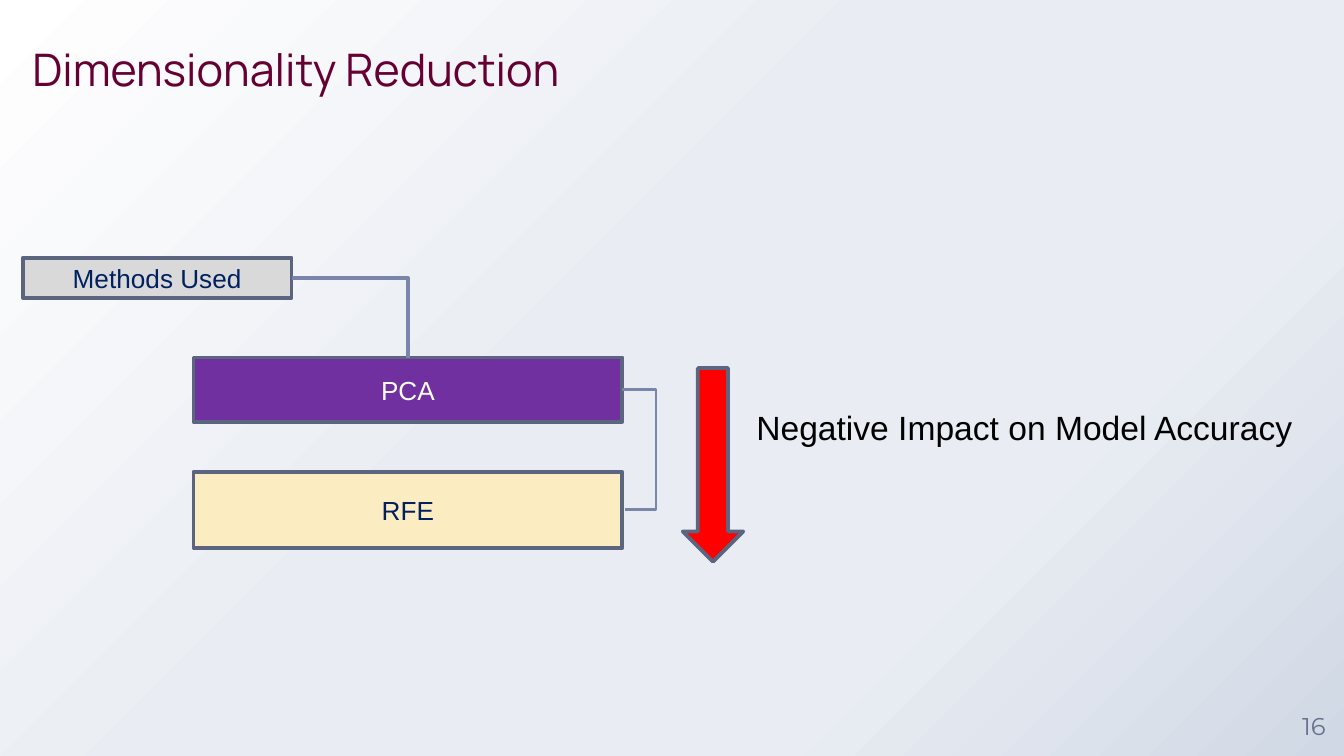
from lxml import etree
from pptx import Presentation
from pptx import util as u
from pptx.dml import color
from pptx.enum import shapes, text
from pptx.oxml import ns

WIDTH, HEIGHT = u.Inches(10), u.Inches(5.625)
OUTLINE, LINK, NAVY = "5C657F", "7985A9", "002060"
BACKGROUND = [(0, "FFFFFF"), (44, "E9EDF3"), (72, "E9EDF3"), (100, "D0D8E5")]


def rgb(value):
    """Turn a hex string into a colour."""
    return color.RGBColor.from_string(value)


def place(left, top, width, height):
    """Turn percentages of the slide's size into lengths."""
    return [round(share * side / 100) for share, side in
            ((left, WIDTH), (top, HEIGHT), (width, WIDTH), (height, HEIGHT))]


def apply(target, values):
    """Set every attribute named in a dict of format values."""
    for name, value in values.items():
        setattr(target, name, value)


def write(shape, words, size, ink, font="Arial", align="LEFT", anchor="MIDDLE", inset=None, wrap=True):
    """Put one formatted paragraph into a shape."""
    frame = shape.text_frame
    apply(frame, {"word_wrap": wrap, "vertical_anchor": getattr(text.MSO_ANCHOR, anchor)})
    if inset is not None:
        apply(frame, {f"margin_{side}": inset for side in ("left", "top", "right", "bottom")})
    paragraph = frame.paragraphs[0]
    paragraph.alignment = getattr(text.PP_ALIGN, align)
    run = paragraph.add_run()
    run.text = words
    apply(run.font, {"size": u.Pt(size), "name": font})
    run.font.color.rgb = rgb(ink)


def add_label(slide, at, words, size, ink, **layout):
    """Add a text box."""
    write(slide.shapes.add_textbox(*place(*at)), words, size, ink, **layout)


def add_block(slide, kind, at, fill):
    """Add a filled and outlined preset shape."""
    shape = slide.shapes.add_shape(kind, *place(*at))
    shape.shadow.inherit = False
    shape.fill.solid()
    shape.fill.fore_color.rgb = rgb(fill)
    shape.line.color.rgb = rgb(OUTLINE)
    shape.line.width = u.Pt(2)
    return shape


def add_box(slide, at, fill, words, ink):
    """Add a rectangle with a centred caption."""
    shape = add_block(slide, shapes.MSO_SHAPE.RECTANGLE, at, fill)
    write(shape, words, 14, ink, align="CENTER")
    return shape


def add_link(slide, start, start_side, end, end_side, weight):
    """Join two boxes with an elbow connector."""
    link = slide.shapes.add_connector(shapes.MSO_CONNECTOR.ELBOW, 0, 0, 0, 0)
    link.begin_connect(start, start_side)
    link.end_connect(end, end_side)
    link.line.color.rgb = rgb(LINK)
    link.line.width = u.Pt(weight)
    etree.SubElement(link._element.spPr, ns.qn("a:effectLst"))
    return link


def bend_once(link):
    """Give an elbow connector a single corner."""
    link._element.spPr.find(ns.qn("a:prstGeom")).set("prst", "bentConnector2")


def bulge(link, reach):
    """Push the middle leg of an elbow connector out to the right."""
    link.end_x = link.begin_x + u.Inches(0.02)
    guides = link._element.spPr.find(ns.qn("a:prstGeom")).find(ns.qn("a:avLst"))
    ratio = round(reach / link.width * 100000)
    etree.SubElement(guides, ns.qn("a:gd"), name="adj1", fmla=f"val {ratio}")


def paint_background(slide, stops):
    """Fill the slide with a diagonal gradient."""
    fill = slide.background.fill
    fill.gradient()
    fill.gradient_angle = 315
    stop_list = slide._element.find(".//" + ns.qn("a:gsLst"))
    for stop in list(stop_list):
        stop_list.remove(stop)
    for position, value in stops:
        stop = etree.SubElement(stop_list, ns.qn("a:gs"), pos=str(position * 1000))
        etree.SubElement(stop, ns.qn("a:srgbClr"), val=value)


def main():
    """Build and save the slide."""
    presentation = Presentation()
    apply(presentation, {"slide_width": WIDTH, "slide_height": HEIGHT})
    slide = presentation.slides.add_slide(presentation.slide_layouts[6])
    paint_background(slide, BACKGROUND)

    add_label(slide, (2.4, 3.56, 46.2, 9.07), "Dimensionality Reduction", 24, "660033",
              font="Manrope", anchor="BOTTOM", inset=0)
    add_label(slide, (95.5, 92, 4.5, 8), "16", 13, "68728D",
              font="Montserrat", align="CENTER", inset=0)

    pca = add_box(slide, (14.4, 47.3, 31.9, 8.5), "7030A0", "PCA", "FFFFFF")
    rfe = add_box(slide, (14.4, 62.4, 31.9, 10.1), "FCECC2", "RFE", NAVY)
    bulge(add_link(slide, pca, 3, rfe, 3, 1.5), u.Inches(0.25))

    add_block(slide, shapes.MSO_SHAPE.DOWN_ARROW, (50.8, 48.7, 4.5, 25.6), "FF0000")
    add_label(slide, (55.3, 53, 42.4, 7.1), "Negative Impact on Model Accuracy", 18, "000000",
              anchor="TOP", wrap=False)

    methods = add_box(slide, (1.7, 34.1, 20, 5.3), "D9D9D9", "Methods Used", NAVY)
    bend_once(add_link(slide, methods, 3, pca, 0, 2))

    presentation.save("out.pptx")


if __name__ == "__main__":
    main()
